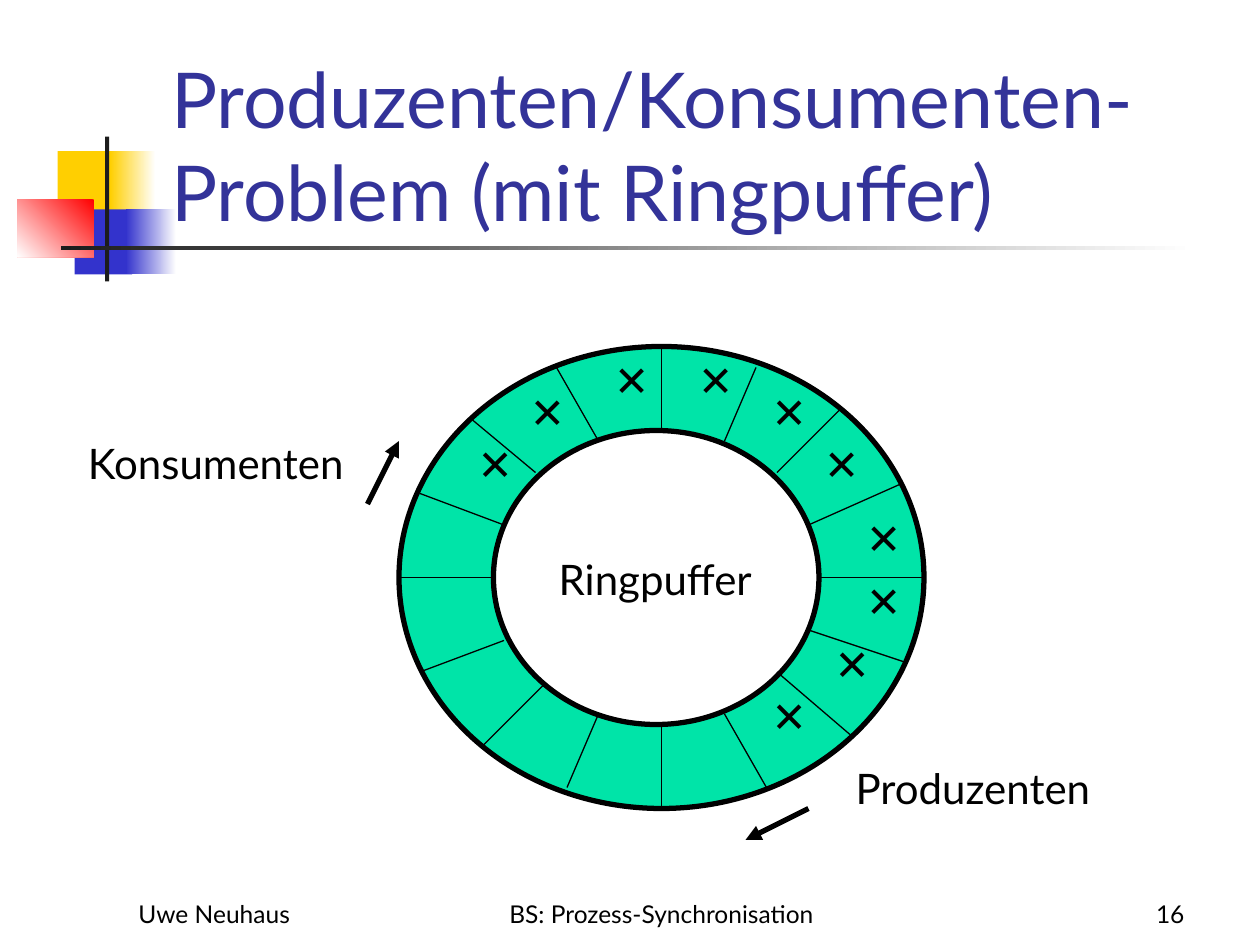
"""Build the slide on the producer/consumer problem with a ring buffer."""
from lxml import etree
from pptx import Presentation
from pptx.dml.color import RGBColor
from pptx.enum.shapes import MSO_CONNECTOR, MSO_SHAPE
from pptx.enum.text import MSO_ANCHOR, MSO_AUTO_SIZE, PP_ALIGN
from pptx.oxml.ns import qn
from pptx.util import Inches, Pt

RECT, ROUND, OVAL = MSO_SHAPE.RECTANGLE, MSO_SHAPE.ROUNDED_RECTANGLE, MSO_SHAPE.OVAL
LEFT, MID, RIGHT = PP_ALIGN.LEFT, PP_ALIGN.CENTER, PP_ALIGN.RIGHT
TOP, CORE, LOW = MSO_ANCHOR.TOP, MSO_ANCHOR.MIDDLE, MSO_ANCHOR.BOTTOM
GROW, FIXED = MSO_AUTO_SIZE.SHAPE_TO_FIT_TEXT, MSO_AUTO_SIZE.NONE
INK = {"black": "000000", "white": "FFFFFF", "gold": "FFCF01", "blue": "3333CC",
       "red": "FF0000", "dark": "1C1C1C", "title": "333399", "ring": "00E4A8"}
INK = {name: RGBColor.from_string(code) for name, code in INK.items()}

deck = Presentation()
deck.slide_width, deck.slide_height = Inches(10), Inches(7.5)
COL, ROW = deck.slide_width / 120, deck.slide_height / 90
slide = deck.slides.add_slide(deck.slide_layouts[5])
shapes = slide.shapes


def grid(*cells):
    """Turn alternating columns and rows into lengths."""
    return [round(n * (ROW if i % 2 else COL)) for i, n in enumerate(cells)]


def write(box, words, size=24, face="Lato", ink="black", align=LEFT,
          anchor=TOP, wrap=False, fit=GROW, space=1.01):
    """Put one formatted paragraph in a box."""
    frame = box.text_frame
    frame.text = words
    para = frame.paragraphs[0]
    looks = {frame: {"word_wrap": wrap, "auto_size": fit, "vertical_anchor": anchor},
             para: {"alignment": align, "line_spacing": space}}
    for part, look in looks.items():
        for key, value in look.items():
            setattr(part, key, value)
    font = para.runs[0].font
    font.name, font.size, font.color.rgb = face, Pt(size), INK[ink]


decor = [
    (RECT, (5.5, 14.4, 5.8, 6.2), ["gold"], 0),
    (RECT, (10.5, 14.4, 4.3, 6.2), ["white", "gold"], 180),
    (RECT, (7.1, 19.95, 5.5, 6.2), ["blue"], 0),
    (RECT, (12, 19.95, 4.8, 6.2), ["white", "blue"], 180),
    (ROUND, (1.65, 19, 7.3, 5.5), ["red", "white"], 225),
    (RECT, (10, 13, 0.4, 13.8), ["dark"], 0),
    (ROUND, (5.8, 23.4, 108, 0.4), ["white", "dark"], 180),
    (OVAL, (38, 33, 50, 44), ["ring"], 0),
    (OVAL, (47, 41, 31, 28), ["white"], 0),
]
for kind, cells, tints, angle in decor:
    shape = shapes.add_shape(kind, *grid(*cells))
    shape.shadow.inherit = False
    if kind == ROUND:
        shape.adjustments[0] = 0.01
    if kind == OVAL:
        shape.line.color.rgb, shape.line.width = INK["black"], Pt(3)
    else:
        shape.line.fill.background()
    if len(tints) == 1:
        shape.fill.solid()
        shape.fill.fore_color.rgb = INK[tints[0]]
    else:
        shape.fill.gradient()
        shape.fill.gradient_angle = angle
        for stop, tint in zip(shape.fill.gradient_stops, tints):
            stop.color.rgb = INK[tint]

title = shapes.title
title.left, title.top, title.width, title.height = grid(15.1, 4.2, 102.2, 19)
write(title, "Produzenten/Konsumenten-Problem (mit Ringpuffer)", 44,
      ink="title", anchor=LOW, wrap=True, fit=FIXED)
shapes._spTree.append(title._element)

spokes = [
    (63, 33, 63, 41), (45, 40, 51, 45), (74, 64, 81, 70), (52, 65, 46, 71),
    (80, 39, 74, 45), (38, 55, 47, 55), (78, 55, 88, 55), (63, 69, 63, 77),
    (72, 35, 69, 42), (86, 46, 77, 50), (57, 42, 53, 35), (86, 63, 77, 60),
    (73, 75, 69, 68), (48, 50, 40, 47), (57, 68, 54, 75), (48, 61, 40, 64),
]
arrows = [(35, 48, 38, 42), (77, 77, 71, 80)]
for ends in spokes + arrows:
    line = shapes.add_connector(MSO_CONNECTOR.STRAIGHT, *grid(*ends))
    line.line.color.rgb = INK["black"]
    line.line.width = Pt(3 if ends in arrows else 0.75)
    if ends in arrows:
        etree.SubElement(line.line._get_or_add_ln(), qn("a:tailEnd"), type="triangle")
    etree.SubElement(line._element.spPr, qn("a:effectLst"))

marks = [(44, 42), (49, 37), (57, 34), (65, 34), (72, 37), (77, 42),
         (81, 49), (81, 55), (78, 61), (72, 66)]
for col, row in marks:
    write(shapes.add_textbox(*grid(col + 0.3, row, 3.8, 5.2)), "✕", face="Arial", space=0.83)

foot = {"size": 14, "anchor": LOW, "wrap": True, "fit": FIXED}
labels = [
    ("Ringpuffer", (51.2, 52, 22.4, 6.1), {"align": MID, "anchor": CORE}),
    ("Konsumenten", (7.2, 41, 28.8, 6.1), {}),
    ("Produzenten", (80.3, 72, 26.5, 6.1), {}),
    ("Uwe Neuhaus", (12, 85, 25, 4), foot),
    ("BS: Prozess-Synchronisation", (44, 85, 38, 4), {**foot, "align": MID}),
    ("16", (89, 85, 25, 4), {**foot, "align": RIGHT}),
]
for words, cells, look in labels:
    write(shapes.add_textbox(*grid(*cells)), words, **look)

deck.save("out.pptx")
